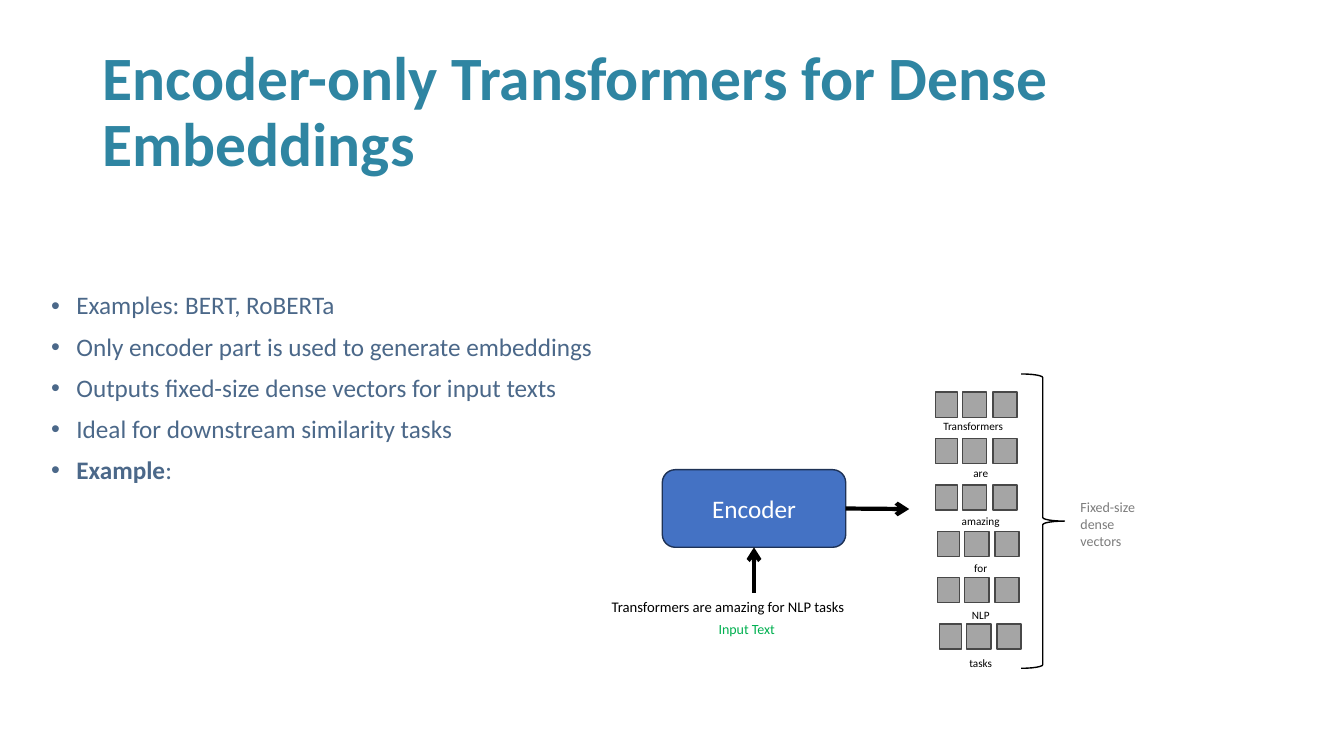
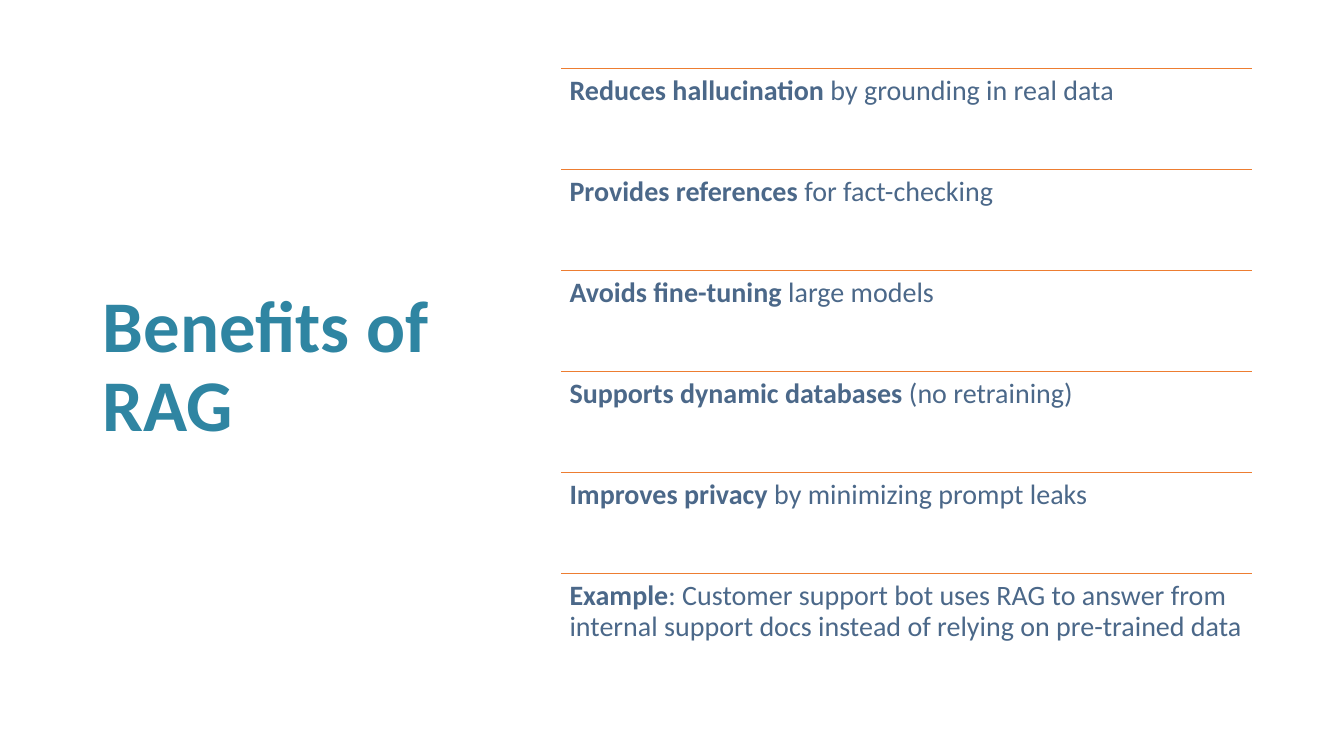
import pptx
import pptx.dml.color
import pptx.enum.shapes
import pptx.enum.text
import pptx.oxml
import pptx.oxml.ns
import pptx.util
from lxml import etree

# Shared style
FONT = "Calibri"
COLORS = {
    "title": "2F85A2",
    "body": "4B6889",
    "encoder": "4472C4",
    "encoder_edge": "1E3256",
    "cell": "A5A5A5",
    "cell_edge": "484848",
    "rule": "ED7D31",
    "black": "000000",
    "white": "FFFFFF",
    "note": "7C7C7C",
    "input": "00B050",
}
ALIGN = pptx.enum.text.PP_ALIGN
ANCHOR = pptx.enum.text.MSO_ANCHOR
SHAPE = pptx.enum.shapes.MSO_SHAPE

# Grid: 133.33 columns by 75 rows
COLUMNS, ROWS = 133.33, 75
CELL = pptx.util.Inches(0.1)

# Content
BULLETS = [
    ("", "Examples: BERT, RoBERTa"),
    ("", "Only encoder part is used to generate embeddings"),
    ("", "Outputs fixed-size dense vectors for input texts"),
    ("", "Ideal for downstream similarity tasks"),
    ("Example", ":"),
]
# Word, shift of its vector to the right, alignment of its label
TOKENS = [
    ("Transformers", 0, ALIGN.LEFT),
    ("are", 0, ALIGN.CENTER),
    ("amazing", 0, ALIGN.CENTER),
    ("for", 0.2, ALIGN.CENTER),
    ("NLP", 0.2, ALIGN.CENTER),
    ("tasks", 0.4, ALIGN.CENTER),
]
VECTOR_CELLS = [(92.8, 2.2), (95.5, 2.4), (98.5, 2.4)]  # left, width
BENEFITS = [
    ("Reduces hallucination", " by grounding in real data"),
    ("Provides references", " for fact-checking"),
    ("Avoids fine-tuning", " large models"),
    ("Supports dynamic databases", " (no retraining)"),
    ("Improves privacy", " by minimizing prompt leaks"),
    ("Example", ": Customer support bot uses RAG to answer from internal "
                "support docs instead of relying on pre-trained data"),
]


def grid(*cells):
    return [round(cell * CELL) for cell in cells]


def color(name):
    return pptx.dml.color.RGBColor.from_string(COLORS[name])


def style_run(run, size, color_name, bold=False):
    run.font.name = FONT
    run.font.size = pptx.util.Pt(size)
    run.font.bold = bold
    run.font.color.rgb = color(color_name)


def fill_paragraph(paragraph, lead, rest, size, color_name):
    """Write a bold lead followed by plain text."""
    for text, bold in ((lead, True), (rest, False)):
        if text:
            run = paragraph.add_run()
            run.text = text
            style_run(run, size, color_name, bold)


def add_text_box(slide, area, inset=None):
    frame = slide.shapes.add_textbox(*grid(*area)).text_frame
    frame.word_wrap = True
    if inset is not None:
        frame.margin_left = frame.margin_right = inset
        frame.margin_top = frame.margin_bottom = inset
    return frame


def add_title(slide, area, text, size):
    frame = add_text_box(slide, area)
    frame.vertical_anchor = ANCHOR.MIDDLE
    frame.text = text
    frame.paragraphs[0].line_spacing = 0.9
    style_run(frame.paragraphs[0].runs[0], size, "title", True)


def add_label(slide, area, text, size, color_name="black", align=ALIGN.LEFT):
    frame = add_text_box(slide, area)
    frame.text = text
    frame.paragraphs[0].alignment = align
    style_run(frame.paragraphs[0].runs[0], size, color_name)


def add_bullets(slide, area, items, size):
    frame = add_text_box(slide, area)
    for index, (lead, rest) in enumerate(items):
        paragraph = frame.paragraphs[0] if index == 0 else frame.add_paragraph()
        paragraph.line_spacing = 0.9
        if index:
            paragraph.space_before = pptx.util.Pt(10)
        properties = paragraph._p.get_or_add_pPr()
        indent = pptx.util.Inches(0.25)
        properties.set("marL", str(indent))
        properties.set("indent", str(-indent))
        etree.SubElement(properties, pptx.oxml.ns.qn("a:buFont"), typeface="Arial")
        etree.SubElement(properties, pptx.oxml.ns.qn("a:buChar"), char="•")
        fill_paragraph(paragraph, lead, rest, size, "body")


def add_shape(slide, kind, area, edge, fill=None):
    shape = slide.shapes.add_shape(kind, *grid(*area))
    shape.shadow.inherit = False
    if fill:
        shape.fill.solid()
        shape.fill.fore_color.rgb = color(fill)
    else:
        shape.fill.background()
    shape.line.color.rgb = color(edge)
    shape.line.width = pptx.util.Pt(1)
    return shape


def add_line(slide, start, end, color_name, width, arrow=False):
    line = slide.shapes.add_connector(
        pptx.enum.shapes.MSO_CONNECTOR.STRAIGHT, *grid(*start, *end))
    line.line.color.rgb = color(color_name)
    line.line.width = pptx.util.Pt(width)
    if arrow:
        etree.SubElement(line.line._get_or_add_ln(),
                         pptx.oxml.ns.qn("a:tailEnd"), type="arrow")
    etree.SubElement(line._element.spPr, pptx.oxml.ns.qn("a:effectLst"))
    return line


def add_token_vector(slide, index, word, shift, align):
    for left, width in VECTOR_CELLS:
        add_shape(slide, SHAPE.RECTANGLE,
                  (left + shift, 38.9 + 4.6 * index, width, 2.5),
                  "cell_edge", "cell")
    add_label(slide, (92.6, 41.1 + 4.7 * index, 9.4, 2.4), word, 8, align=align)


def build_encoder_slide(slide):
    add_title(slide, (9.2, 4, 115, 14.5),
              "Encoder-only Transformers for Dense Embeddings", 44)
    add_bullets(slide, (4.1, 28.6, 95.8, 37.4), BULLETS, 18)

    # Encoder with its input and output arrows
    encoder = add_shape(slide, SHAPE.ROUNDED_RECTANGLE, (65.7, 46.6, 18.2, 7.7),
                        "encoder_edge", "encoder")
    encoder.text_frame.text = "Encoder"
    encoder.text_frame.vertical_anchor = ANCHOR.MIDDLE
    paragraph = encoder.text_frame.paragraphs[0]
    paragraph.alignment = ALIGN.CENTER
    style_run(paragraph.runs[0], 18, "white")
    input_arrow = add_line(slide, (74.8, 58.8), (74.8, 54.3), "black", 3, True)
    input_arrow.end_connect(encoder, 2)
    output_arrow = add_line(slide, (83.9, 50.5), (90.2, 50.5), "black", 3, True)
    output_arrow.begin_connect(encoder, 3)
    add_label(slide, (59.7, 58.8, 30.1, 2.8),
              "Transformers are amazing for NLP tasks", 10.5)
    add_label(slide, (70.3, 61.1, 8.8, 2.7), "Input Text", 10, "input")

    # One vector for each token, gathered by a brace
    for index, token in enumerate(TOKENS):
        add_token_vector(slide, index, *token)
    add_shape(slide, SHAPE.RIGHT_BRACE, (101.3, 37.1, 4.3, 29.2), "black")
    add_label(slide, (106.2, 49, 8.8, 6.1), "Fixed-size dense vectors", 10, "note")


def build_benefits_slide(slide):
    add_title(slide, (9.2, 6.1, 36.9, 60.9), "Benefits of RAG", 52)

    # Ruled list
    left, top, width, pitch = 55.7, 6.8, 68.5, 10.02
    for index, (lead, rest) in enumerate(BENEFITS):
        row_top = top + index * pitch
        add_line(slide, (left, row_top), (left + width, row_top), "rule", 1)
        frame = add_text_box(slide, (left, row_top, width, pitch),
                             pptx.util.Inches(0.08))
        frame.paragraphs[0].line_spacing = 0.9
        fill_paragraph(frame.paragraphs[0], lead, rest, 20, "body")


def main():
    presentation = pptx.Presentation()
    presentation.slide_width, presentation.slide_height = grid(COLUMNS, ROWS)
    blank = presentation.slide_layouts[6]
    for build in (build_encoder_slide, build_benefits_slide):
        build(presentation.slides.add_slide(blank))
    presentation.save("out.pptx")


if __name__ == "__main__":
    main()
